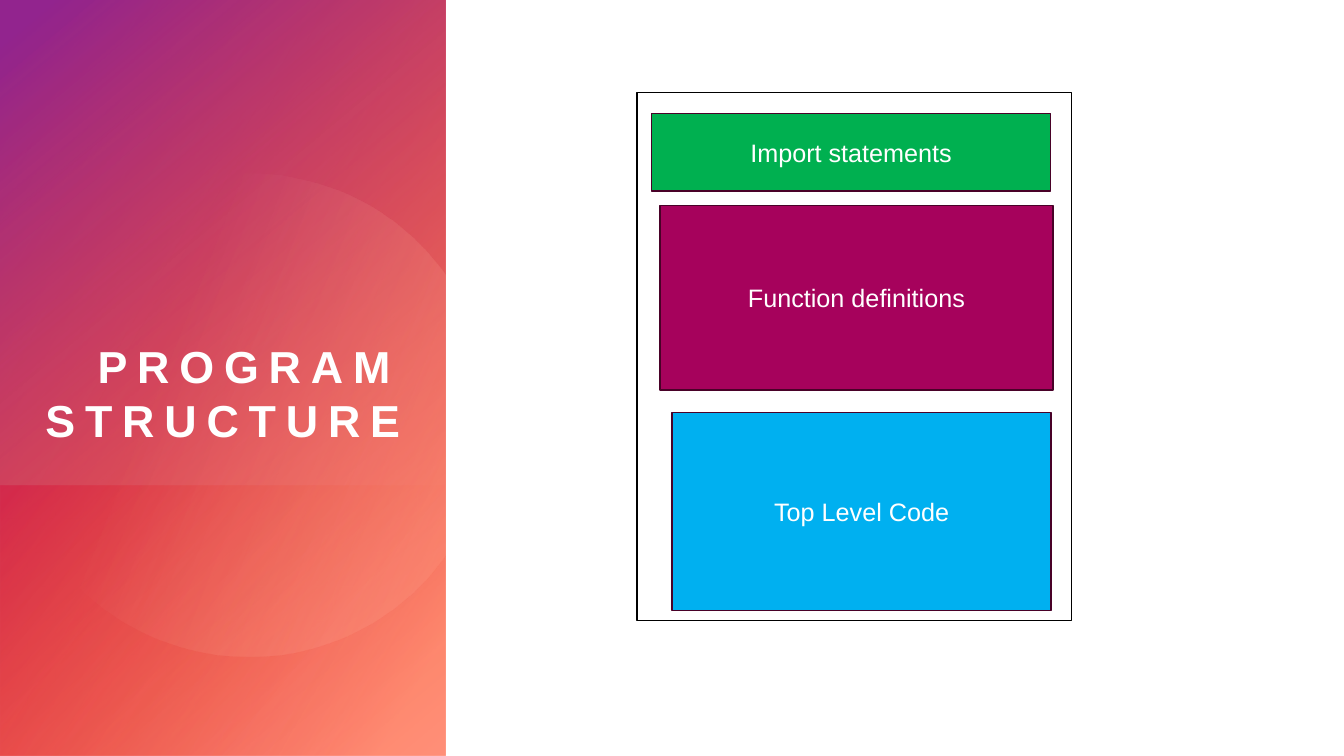
"""Build the "Program structure" slide: gradient title panel and a stack of code sections."""
from lxml import etree
from pptx import Presentation
from pptx.dml.color import RGBColor
from pptx.enum.shapes import MSO_SHAPE
from pptx.enum.text import MSO_ANCHOR, MSO_AUTO_SIZE, PP_ALIGN
from pptx.oxml import parse_xml
from pptx.oxml.ns import nsdecls, qn
from pptx.util import Cm, Pt

RECT = MSO_SHAPE.RECTANGLE
MIDDLE, BOTTOM = MSO_ANCHOR.MIDDLE, MSO_ANCHOR.BOTTOM
CENTER, RIGHT = PP_ALIGN.CENTER, PP_ALIGN.RIGHT
NO_FIT = MSO_AUTO_SIZE.NONE

FONT = "Arial"
COLORS = {
    "white": "FFFFFF", "black": "000000", "edge": "490128",
    "green": "00B050", "plum": "A6025C", "blue": "00B0F0",
    "salmon": "FF907A", "red": "DA002F", "orange": "FE4A00",
    "purple": "92248E", "peach": "FFDBCC",
}


def rgb(name):
    return RGBColor.from_string(COLORS[name])


def set_gradient(sp, stops, angle):
    """Fill with (position %, colour, opacity %) stops; angle is clockwise."""
    gs = "".join(
        f'<a:gs pos="{pos * 1000}"><a:srgbClr val="{COLORS[name]}">'
        f'<a:alpha val="{alpha * 1000}"/></a:srgbClr></a:gs>'
        for pos, name, alpha in stops)
    grad = parse_xml(
        f'<a:gradFill {nsdecls("a")} rotWithShape="1"><a:gsLst>{gs}</a:gsLst>'
        f'<a:lin ang="{round(angle * 60000)}" scaled="0"/></a:gradFill>')
    sp.fill.background()
    sp.line.fill.background()
    sp.shadow.inherit = False
    spPr = sp._element.spPr
    spPr.replace(spPr.find(qn("a:noFill")), grad)


prs = Presentation()
prs.slide_width, prs.slide_height = Cm(33.87), Cm(19.05)
slide = prs.slides.add_slide(prs.slide_layouts[5])
shapes = slide.shapes
title = shapes.title

backdrop = shapes.add_shape(RECT, 0, 0, prs.slide_width, prs.slide_height)
backdrop.shadow.inherit = False
backdrop.fill.solid()
backdrop.fill.fore_color.rgb = rgb("white")
backdrop.line.fill.background()

panels = [
    (-3.91, 3.91, 19.05, 11.23, True, [(8, "salmon", 100), (100, "red", 72)], 60),
    (-3.91, 3.91, 19.05, 11.23, True, [(0, "orange", 0), (96, "purple", 100)], 40),
    (2.21, 10.06, 6.81, 11.18, False, [(2, "red", 35), (67, "orange", 0)], 310),
]
for left, top, width, height, flipped, stops, angle in panels:
    sp = shapes.add_shape(RECT, Cm(left), Cm(top), Cm(width), Cm(height))
    sp.rotation = 90
    if flipped:
        sp._element.spPr.get_or_add_xfrm().set("flipH", "1")
    set_gradient(sp, stops, angle)

disc_start = (6.27, 4.37)
disc_segments = [
    [(6.65, 4.37), (7.09, 4.4), (7.49, 4.5)],
    [(8.94, 4.78), (10.13, 5.56), (11, 6.63)],
    [(11.23, 6.93)],
    [(11.23, 13.97)],
    [(10.92, 14.38)],
    [(9.53, 16.03), (7.29, 16.89), (5.03, 16.41)],
    [(1.73, 15.72), (-0.38, 12.52), (0.3, 9.22)],
    [(0.89, 6.35), (3.43, 4.34), disc_start],
]
builder = shapes.build_freeform(Cm(disc_start[0]), Cm(disc_start[1]))
builder.add_line_segments([(Cm(x), Cm(y)) for seg in disc_segments for x, y in seg])
disc = builder.convert_to_shape()
lines = iter(list(disc._element.iter(qn("a:lnTo"))))
for seg in disc_segments:
    group = [next(lines) for _ in seg]
    if len(group) == 3:
        curve = etree.Element(qn("a:cubicBezTo"))
        group[0].addprevious(curve)
        for line in group:
            curve.append(line[0])
            line.getparent().remove(line)
set_gradient(disc, [(39, "peach", 0), (100, "salmon", 29)], 21.6)

shapes._spTree.append(title._element)
title.left, title.top, title.width, title.height = Cm(1.07), Cm(2.87), Cm(9.02), Cm(8.38)
tf = title.text_frame
tf.margin_left = tf.margin_right = tf.margin_top = tf.margin_bottom = 0
tf.word_wrap = True
tf.auto_size = NO_FIT
tf.vertical_anchor = BOTTOM
p = tf.paragraphs[0]
p.alignment = RIGHT
p.line_spacing = 1.0
r = p.add_run()
r.text = "PROGRAM STRUCTURE"
r.font.name, r.font.size, r.font.bold = FONT, Pt(32), True
r.font.color.rgb = rgb("white")
r._r.get_or_add_rPr().set("spc", "700")

frame = shapes.add_shape(RECT, Cm(16.05), Cm(2.33), Cm(10.95), Cm(13.3))
frame.shadow.inherit = False
frame.fill.background()
frame.line.color.rgb = rgb("black")
frame.line.width = Pt(1)

sections = [
    ("Import statements", "green", 16.42, 2.86, 10.06, 1.95),
    ("Function definitions", "plum", 16.63, 5.18, 9.91, 4.65),
    ("Top Level Code", "blue", 16.94, 10.39, 9.55, 5),
]
for text, color, left, top, width, height in sections:
    sp = shapes.add_shape(RECT, Cm(left), Cm(top), Cm(width), Cm(height))
    sp.shadow.inherit = False
    sp.fill.solid()
    sp.fill.fore_color.rgb = rgb(color)
    sp.line.color.rgb = rgb("edge")
    sp.line.width = Pt(1)
    tf = sp.text_frame
    tf.word_wrap = True
    tf.vertical_anchor = MIDDLE
    p = tf.paragraphs[0]
    p.alignment = CENTER
    r = p.add_run()
    r.text = text
    r.font.name, r.font.size = FONT, Pt(18)
    r.font.color.rgb = rgb("white")

prs.save("out.pptx")
